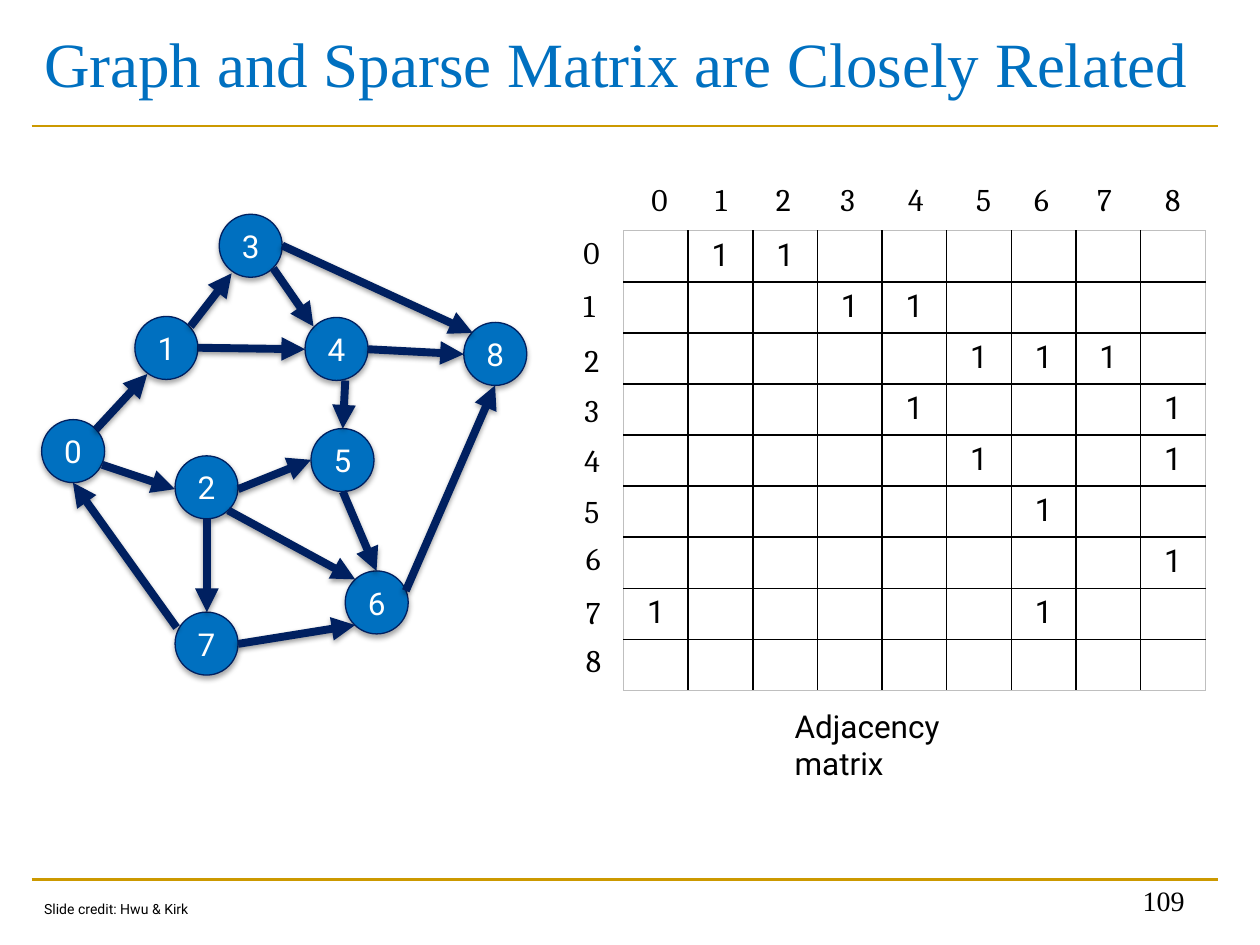
from typing import NamedTuple

import lxml.etree
import pptx
import pptx.dml.color
import pptx.enum.shapes
import pptx.enum.text
import pptx.oxml
import pptx.oxml.ns
import pptx.util

Cm, Pt = pptx.util.Cm, pptx.util.Pt
ALIGN, ANCHOR = pptx.enum.text.PP_ALIGN, pptx.enum.text.MSO_ANCHOR
COLORS = {"blue": "0070C0", "navy": "002060", "gold": "CC9900",
          "black": "000000", "white": "FFFFFF", "grey": "BFBFBF"}
NODE_SIZE = 1.27


class Node(NamedTuple):
    name: int
    left: float
    top: float


class Edge(NamedTuple):
    """A directed edge between two nodes, with its end points in cm."""
    source: int
    target: int
    x1: float
    y1: float
    x2: float
    y2: float


class Label(NamedTuple):
    text: str
    left: float
    top: float
    width: float
    height: float
    font: str
    size: float
    color: str = "black"
    align: ALIGN = ALIGN.LEFT
    anchor: ANCHOR = ANCHOR.TOP
    wrap: bool = True


NODES = [
    Node(0, 0.84, 8.46), Node(1, 2.72, 6.38), Node(2, 3.53, 9.19),
    Node(3, 4.42, 4.32), Node(4, 6.15, 6.4), Node(5, 6.27, 8.64),
    Node(6, 6.96, 11.51), Node(7, 3.53, 12.34), Node(8, 9.35, 6.5),
]
EDGES = [
    Edge(0, 1, 1.93, 8.66, 2.97, 7.54),
    Edge(0, 2, 2.06, 9.37, 3.53, 9.86),
    Edge(1, 3, 3.84, 6.58, 4.67, 5.51),
    Edge(1, 4, 3.99, 7.01, 6.15, 7.04),
    Edge(2, 5, 4.8, 9.86, 6.27, 9.27),
    Edge(3, 8, 5.69, 4.95, 9.53, 6.71),
    Edge(3, 4, 5.51, 5.41, 6.32, 6.58),
    Edge(4, 8, 7.42, 7.04, 9.35, 7.14),
    Edge(4, 5, 6.96, 7.67, 6.91, 8.64),
    Edge(2, 6, 4.6, 10.29, 7.16, 11.68),
    Edge(2, 7, 4.17, 10.46, 4.17, 12.34),
    Edge(7, 6, 4.8, 12.98, 7.16, 12.6),
    Edge(5, 6, 6.91, 9.91, 7.59, 11.51),
    Edge(7, 0, 3.56, 12.65, 1.47, 9.73),
    Edge(6, 8, 8.18, 11.91, 9.98, 7.77),
]
COLUMN_LEFTS = [12.88, 14.17, 15.39, 16.69, 18.06, 19.43, 20.6, 21.87, 23.24]
ROW_CORNERS = [(11.51, 4.57), (11.51, 5.64), (11.53, 6.76), (11.53, 7.75),
               (11.53, 8.76), (11.53, 9.8), (11.56, 10.74), (11.56, 11.84),
               (11.56, 12.8)]
LABELS = [
    Label("Graph and Sparse Matrix are Closely Related", 0.64, 0, 23.93, 2.51,
          "Times New Roman", 36, "blue", anchor=ANCHOR.MIDDLE),
    Label("Adjacency matrix", 15.77, 14.12, 5.2, 1.02, "Roboto", 18),
    Label("109", 18.21, 17.35, 5.92, 1.27, "Times New Roman", 16,
          align=ALIGN.RIGHT, anchor=ANCHOR.BOTTOM),
    Label("Slide credit: Hwu & Kirk", 0.64, 18.03, 3.53, 0.61, "Roboto", 8,
          wrap=False),
]


def rgb(name: str) -> pptx.dml.color.RGBColor:
    return pptx.dml.color.RGBColor.from_string(COLORS[name])


def add_run(p, text: str, font: str, size: float, color: str) -> None:
    r = p.add_run()
    r.text = text
    r.font.name = font
    r.font.size = Pt(size)
    r.font.color.rgb = rgb(color)


def set_shadow(sp, alpha: int = 0, dist: float = 0) -> None:
    """Give a soft shadow straight below, or none when alpha is 0."""
    ns = pptx.oxml.ns.nsdecls("a")
    effects = pptx.oxml.parse_xml(f"<a:effectLst {ns}/>")
    if alpha:
        effects.append(pptx.oxml.parse_xml(
            f'<a:outerShdw {ns} blurRad="{Pt(3.1)}" dist="{Pt(dist)}" '
            f'dir="5400000" rotWithShape="0"><a:srgbClr val="{COLORS["black"]}">'
            f'<a:alpha val="{alpha * 1000}"/></a:srgbClr></a:outerShdw>'))
    sp._element.spPr.append(effects)


def add_line(slide, x1: float, y1: float, x2: float, y2: float,
             color: str, width: float):
    sp = slide.shapes.add_connector(pptx.enum.shapes.MSO_CONNECTOR.STRAIGHT,
                                    Cm(x1), Cm(y1), Cm(x2), Cm(y2))
    sp.line.color.rgb = rgb(color)
    sp.line.width = Pt(width)
    return sp


def add_rule(slide, y: float) -> None:
    set_shadow(add_line(slide, 0.64, y, 24.56, y, "gold", 1.5))


def add_edge(slide, edge: Edge) -> None:
    sp = add_line(slide, edge.x1, edge.y1, edge.x2, edge.y2, "navy", 4.5)
    lxml.etree.SubElement(sp.line._get_or_add_ln(),
                          pptx.oxml.ns.qn("a:tailEnd"), type="triangle")
    set_shadow(sp, 38, 1.6)


def add_node(slide, node: Node) -> None:
    sp = slide.shapes.add_shape(pptx.enum.shapes.MSO_SHAPE.OVAL, Cm(node.left),
                                Cm(node.top), Cm(NODE_SIZE), Cm(NODE_SIZE))
    sp.fill.solid()
    sp.fill.fore_color.rgb = rgb("blue")
    sp.line.color.rgb = rgb("navy")
    sp.line.width = Pt(0.75)
    set_shadow(sp, 35, 1.8)
    tf = sp.text_frame
    tf.vertical_anchor = ANCHOR.MIDDLE
    p = tf.paragraphs[0]
    p.alignment = ALIGN.CENTER
    add_run(p, str(node.name), "Roboto", 18, "white")


def add_label(slide, label: Label) -> None:
    sp = slide.shapes.add_textbox(Cm(label.left), Cm(label.top),
                                  Cm(label.width), Cm(label.height))
    tf = sp.text_frame
    tf.word_wrap = label.wrap
    tf.vertical_anchor = label.anchor
    p = tf.paragraphs[0]
    p.alignment = label.align
    add_run(p, label.text, label.font, label.size, label.color)


def set_border(cell, side: str, color: str, width: float) -> None:
    cell._tc.get_or_add_tcPr().append(pptx.oxml.parse_xml(
        f'<a:{side} {pptx.oxml.ns.nsdecls("a")} w="{Pt(width)}"><a:solidFill>'
        f'<a:srgbClr val="{COLORS[color]}"/></a:solidFill></a:{side}>'))


def add_matrix(slide) -> None:
    """Draw the adjacency matrix, with a 1 for each edge of the graph."""
    n = len(NODES)
    table = slide.shapes.add_table(n, n, Cm(12.57), Cm(4.65),
                                   Cm(11.73), Cm(9.14)).table
    table.first_row = table.horz_banding = False
    links = {(edge.source, edge.target) for edge in EDGES}
    for row in range(n):
        for col in range(n):
            cell = table.cell(row, col)
            outer = {"lnL": col == 0, "lnR": col == n - 1,
                     "lnT": row == 0, "lnB": row == n - 1}
            for side, is_outer in outer.items():
                set_border(cell, side, *(("grey", 0.5) if is_outer else ("black", 1)))
            cell.fill.background()
            if (row, col) in links:
                p = cell.text_frame.paragraphs[0]
                p.alignment = ALIGN.CENTER
                add_run(p, "1", "Roboto", 18, "black")


def main() -> None:
    prs = pptx.Presentation()
    prs.slide_width, prs.slide_height = Cm(25.4), Cm(19.05)
    slide = prs.slides.add_slide(prs.slide_layouts[6])
    for y in (17.73, 2.54):
        add_rule(slide, y)
    for node in NODES:
        add_node(slide, node)
    for edge in EDGES:
        add_edge(slide, edge)
    add_matrix(slide)
    corners = ROW_CORNERS + [(left, 3.51) for left in COLUMN_LEFTS]
    for i, (left, top) in enumerate(corners):
        add_label(slide, Label(str(i % len(NODES)), left, top, 0.86, 1.02,
                               "Cambria", 18, wrap=False))
    for label in LABELS:
        add_label(slide, label)
    prs.save("out.pptx")


if __name__ == "__main__":
    main()
